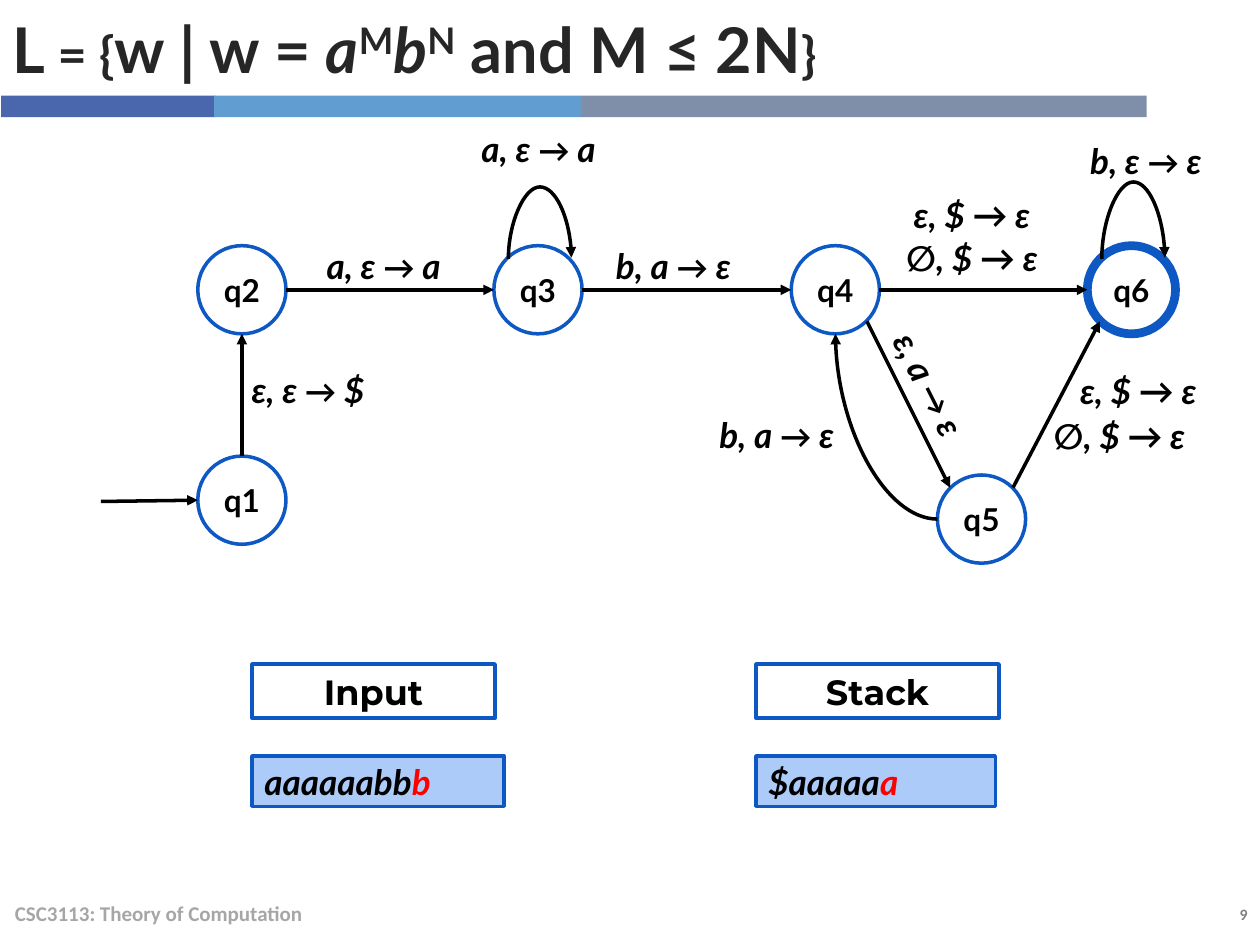
import lxml.etree
import pptx
import pptx.dml.color
import pptx.enum.shapes
import pptx.enum.text
import pptx.oxml.ns
import pptx.util

PX = 9144  # EMU in one px, 100 px to the inch
theme = {
    "ink": "000000", "paper": "FFFFFF", "blue": "0E58C4", "tape": "ACCBF9",
    "red": "FF0000", "title": "262626", "footer": "A6A6A6", "number": "808080",
    "bars": ["4A66AC", "629DD1", "7F8FA9"],
    "title_font": {"name": "Lato", "size": 36, "bold": True, "italic": False},
    "state_font": {"name": "Lato", "size": 18, "bold": True},
    "label_font": {"name": "Lato", "size": 20, "bold": True, "italic": True},
    "head_font": {"name": "Montserrat", "size": 20, "bold": True},
    "footer_font": {"name": "Calibri", "size": 12, "bold": True},
    "number_font": {"name": "Calibri", "size": 9, "bold": True},
}
qn = pptx.oxml.ns.qn
rgb = pptx.dml.color.RGBColor.from_string
Shape = pptx.enum.shapes.MSO_SHAPE
Line = pptx.enum.shapes.MSO_CONNECTOR
LEFT, CENTER, RIGHT = (pptx.enum.text.PP_ALIGN.LEFT, pptx.enum.text.PP_ALIGN.CENTER,
                       pptx.enum.text.PP_ALIGN.RIGHT)


def write(box, font, runs, align=LEFT, color=theme["ink"], anchor="MIDDLE"):
    """Fill a box with one paragraph; each run is (text, changes to the font)."""
    frame = box.text_frame
    frame.word_wrap = True
    frame.vertical_anchor = getattr(pptx.enum.text.MSO_ANCHOR, anchor)
    para = frame.paragraphs[0]
    para.alignment = align
    for text, changes in runs:
        span = para.add_run()
        span.text = text
        values = {"color": color, **theme[font], **changes}
        span.font.color.rgb = rgb(values.pop("color"))
        span.font.size = pptx.util.Pt(values.pop("size"))
        for key in ("cap", "baseline"):
            if key in values:
                span.font._element.set(key, values.pop(key))
        for key, value in values.items():
            setattr(span.font, key, value)
    return para


def style_arrow(connector, end="tailEnd"):
    """Black 2 pt line with a triangle at one end and no shadow."""
    connector.line.color.rgb = rgb(theme["ink"])
    connector.line.width = pptx.util.Pt(2)
    ln = connector._element.spPr.find(qn("a:ln"))
    lxml.etree.SubElement(ln, qn("a:" + end), type="triangle")
    lxml.etree.SubElement(connector._element.spPr, qn("a:effectLst"))


deck = pptx.Presentation()
deck.slide_width, deck.slide_height = 1000 * PX, 750 * PX
page = deck.slides.add_slide(deck.slide_layouts[5])
shapes = page.shapes

# Colour bars under the title
for left, width, color in zip((1, 170, 461), (170, 291, 449), theme["bars"]):
    bar = shapes.add_shape(Shape.RECTANGLE, left * PX, 76 * PX, width * PX, 17 * PX)
    bar.shadow.inherit = False
    bar.fill.solid()
    bar.fill.fore_color.rgb = rgb(color)
    bar.line.fill.background()

# Title
title = shapes.title
title.left, title.top, title.width, title.height = 0, 0, 910 * PX, 76 * PX
title.text_frame.auto_size = pptx.enum.text.MSO_AUTO_SIZE.NONE
para = write(title, "title_font", [
    ("L = {", {"cap": "small"}), ("w | w = ", {}), ("a", {"italic": True}),
    ("M", {"baseline": "30000"}), ("b", {"italic": True}), ("N", {"baseline": "30000"}),
    (" and M ≤ 2N", {}), ("}", {"cap": "small"})], color=theme["title"])
para.space_before = pptx.util.Pt(6)

# Footer and page number
footer = shapes.add_textbox(2 * PX, 705 * PX, 670 * PX, 40 * PX)
write(footer, "footer_font", [("CSC3113: Theory of Computation", {})], color=theme["footer"])
number = shapes.add_textbox(873 * PX, 713 * PX, 127 * PX, 25 * PX)
write(number, "number_font", [("9", {})], RIGHT, theme["number"], "TOP")

# States: left and top of each circle
SIZE = 70
states = {"q1": (157, 362), "q2": (157, 195), "q3": (392, 195),
          "q4": (628, 195), "q5": (744, 377), "q6": (863, 195)}
for name, (left, top) in states.items():
    state = shapes.add_shape(Shape.OVAL, left * PX, top * PX, SIZE * PX, SIZE * PX)
    state.shadow.inherit = False
    state.fill.solid()
    state.fill.fore_color.rgb = rgb(theme["paper"])
    state.line.color.rgb = rgb(theme["blue"])
    state.line.width = pptx.util.Pt(5 if name == "q6" else 2)
    for side in ("left", "right", "top", "bottom"):
        setattr(state.text_frame, "margin_" + side, 0)
    write(state, "state_font", [(name, {})], CENTER)

# Straight transitions between points on the circles
ports = {"left": (0, 35), "right": (70, 35), "top": (35, 0), "bottom": (35, 70),
         "top left": (10, 10), "top right": (60, 10),
         "bottom left": (10, 60), "bottom right": (60, 60)}
transitions = [("q1", "top", "q2", "bottom"), ("q2", "right", "q3", "left"),
               ("q3", "right", "q4", "left"), ("q4", "right", "q6", "left"),
               ("q5", "top right", "q6", "bottom left"),
               ("q4", "bottom right", "q5", "top left")]
segments = [(80, 398, 157, 397)]  # entry arrow
for start, start_port, stop, stop_port in transitions:
    segments.append([place + shift
                     for state, port in ((start, start_port), (stop, stop_port))
                     for place, shift in zip(states[state], ports[port])])
for segment in segments:
    style_arrow(shapes.add_connector(Line.STRAIGHT, *(value * PX for value in segment)))

# Curved transitions: frame, preset, rotation, flips, arrow end, loop height
curves = [
    ((630, 298, 147, 81), "curvedConnector2", 270, ("flipH",), "headEnd", 0),
    ((428, 180, 1, 50), "curvedConnector3", 90, ("flipH", "flipV"), "tailEnd", 58),
    ((899, 180, 1, 50), "curvedConnector3", 90, ("flipH", "flipV"), "tailEnd", 62),
]
for (left, top, width, height), preset, turn, flips, end, rise in curves:
    curve = shapes.add_connector(Line.CURVE, left * PX, top * PX,
                                 (left + width) * PX, (top + height) * PX)
    frame = curve._element.spPr.find(qn("a:xfrm"))
    frame.set("rot", str(turn * 60000))
    for flip in flips:
        frame.set(flip, "1")
    geometry = curve._element.spPr.find(qn("a:prstGeom"))
    geometry.set("prst", preset)
    if rise:
        lxml.etree.SubElement(geometry.find(qn("a:avLst")), qn("a:gd"),
                              name="adj1", fmla=f"val {rise * 100000 // width}")
    style_arrow(curve, end)

# Transition labels: left, top, height, read and pop, push, arrow size, rotation
labels = [
    (233, 187, 48, "a, ε ", " a", 18, 0), (463, 187, 48, "b, a ", " ε", 18, 0),
    (666, 281, 48, "ε, a ", " ε", 18, 63.2), (356, 94, 48, "a, ε ", " a", 18, 0),
    (838, 103, 48, "b, ε ", " ε", 18, 0), (545, 321, 48, "b, a ", " ε", 18, 0),
    (173, 285, 48, "ε, ε ", " $", 18, 0),
    (700, 145, 50, "ε, $ ", " ε", 20, 0), (700, 181, 47, "∅, $ ", " ε", 20, 0),
    (832, 285, 50, "ε, $ ", " ε", 20, 0), (817, 322, 47, "∅, $ ", " ε", 20, 0),
]
for left, top, height, before, after, arrow_size, turn in labels:
    label = shapes.add_textbox(left * PX, top * PX, 143 * PX, height * PX)
    label.rotation = turn
    write(label, "label_font", [(before, {}), ("→", {"size": arrow_size}), (after, {})], CENTER)

# Input and stack: heading above, current content below
red = {"color": theme["red"]}
boxes = [
    (200, 527, 193, 43, "paper", "head_font", CENTER, [("Input", {})]),
    (600, 527, 193, 43, "paper", "head_font", CENTER, [("Stack", {})]),
    (200, 600, 200, 40, "tape", "label_font", LEFT, [("aaaaaabb", {}), ("b", red)]),
    (600, 600, 190, 40, "tape", "label_font", LEFT, [("$aaaaa", {}), ("a", red)]),
]
for left, top, width, height, fill, font, align, runs in boxes:
    box = shapes.add_shape(Shape.RECTANGLE, left * PX, top * PX, width * PX, height * PX)
    box.shadow.inherit = False
    box.fill.solid()
    box.fill.fore_color.rgb = rgb(theme[fill])
    box.line.color.rgb = rgb(theme["blue"])
    box.line.width = pptx.util.Pt(2)
    write(box, font, runs, align)

deck.save("out.pptx")
